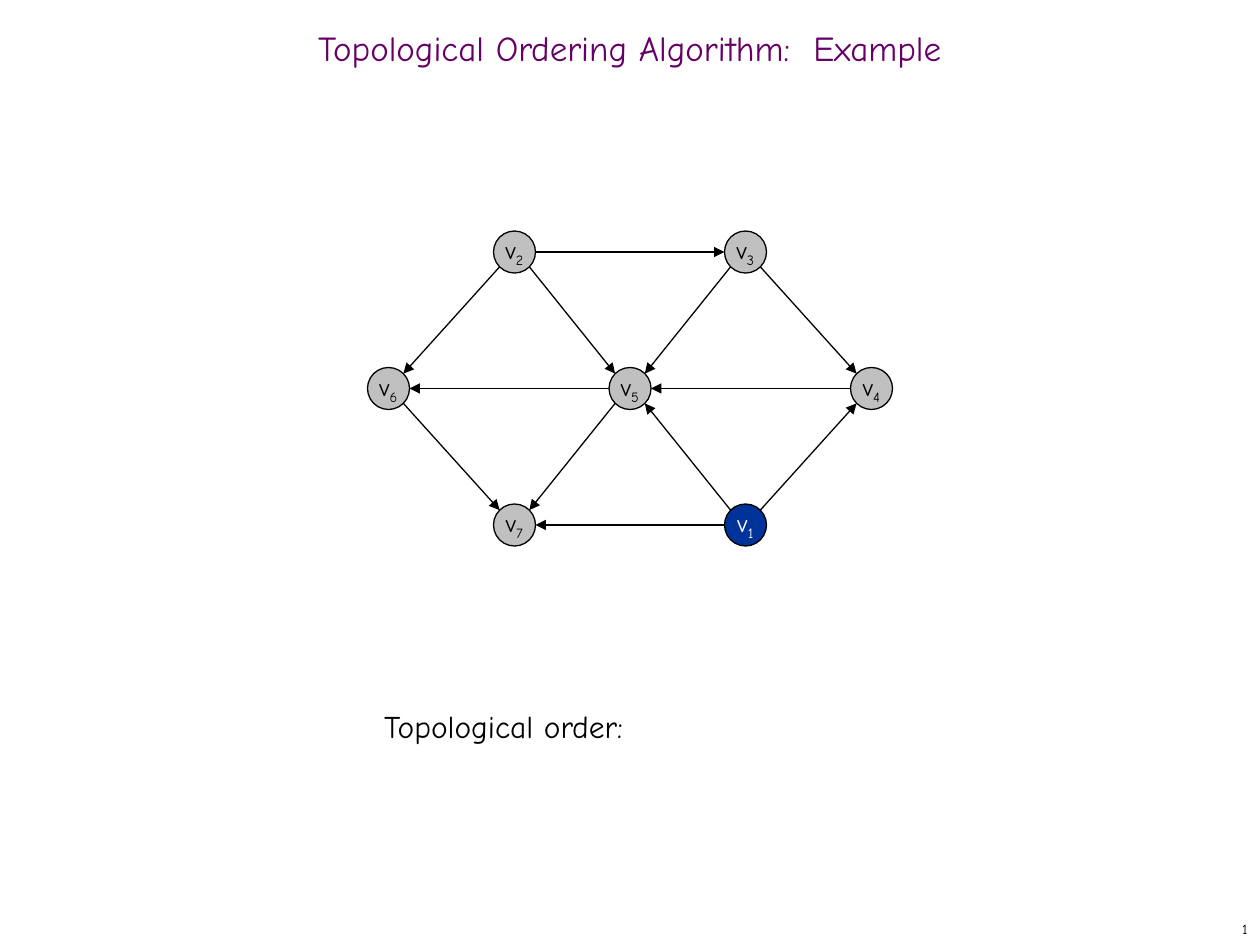
import math

import pptx
import pptx.dml.color
import pptx.enum.shapes
import pptx.enum.text
import pptx.oxml
import pptx.oxml.ns
import pptx.util

Pt = pptx.util.Pt
ALIGN = pptx.enum.text.PP_ALIGN
ANCHOR = pptx.enum.text.MSO_ANCHOR

TITLE = "Topological Ordering Algorithm:  Example"
ORDER_LABEL = "Topological order:"
PAGE_NUMBER = "1"
NODES = {
    "2": (294, 144), "3": (426, 144),
    "6": (222, 222), "5": (360, 222), "4": (498, 222),
    "7": (294, 300), "1": (426, 300),
}
EDGES = ["26", "25", "23", "34", "45", "14", "57", "15", "17", "67", "56", "35"]
ACTIVE_NODE = "1"

COLORS = {"black": "000000", "white": "FFFFFF", "purple": "660066",
          "gray": "C0C0C0", "blue": "003399"}
FONT = "Comic Neue"
RADIUS = 12
LINE_WIDTH = 0.75


def color(name):
    return pptx.dml.color.RGBColor.from_string(COLORS[name])


def write(box, text, size=14, ink="black", align=ALIGN.LEFT, anchor=ANCHOR.TOP,
          wrap=True, spacing=None, subscript=""):
    frame = box.text_frame
    frame.word_wrap = wrap
    frame.vertical_anchor = anchor
    frame.margin_left = frame.margin_right = Pt(7.2)
    frame.margin_top = frame.margin_bottom = Pt(3.6)
    para = frame.paragraphs[0]
    para.alignment = align
    if spacing:
        para.line_spacing = spacing
    for part in filter(None, (text, subscript)):
        span = para.add_run()
        span.text = part
        span.font.name = FONT
        span.font.size = Pt(size)
        span.font.bold = False
        span.font.color.rgb = color(ink)
    if subscript:
        span._r.get_or_add_rPr().set("baseline", "-25000")


def add_node(page, name):
    x, y = NODES[name]
    active = name == ACTIVE_NODE
    node = page.shapes.add_shape(
        pptx.enum.shapes.MSO_SHAPE.OVAL,
        Pt(x - RADIUS), Pt(y - RADIUS), Pt(2 * RADIUS), Pt(2 * RADIUS))
    node.shadow.inherit = False
    node.fill.solid()
    node.fill.fore_color.rgb = color("blue" if active else "gray")
    node.line.color.rgb = color("black")
    node.line.width = Pt(LINE_WIDTH)
    write(node, "v", subscript=name, ink="white" if active else "black",
          align=ALIGN.CENTER, anchor=ANCHOR.MIDDLE, wrap=False)


def add_edge(page, source, target):
    (x1, y1), (x2, y2) = NODES[source], NODES[target]
    dx = math.copysign(RADIUS, x2 - x1)
    dy = 0
    if y1 != y2:
        dx *= math.sqrt(0.5)
        dy = math.copysign(RADIUS * math.sqrt(0.5), y2 - y1)
    edge = page.shapes.add_connector(
        pptx.enum.shapes.MSO_CONNECTOR.STRAIGHT,
        Pt(x1 + dx), Pt(y1 + dy), Pt(x2 - dx), Pt(y2 - dy))
    edge.line.color.rgb = color("black")
    edge.line.width = Pt(LINE_WIDTH)
    arrow = pptx.oxml.parse_xml(
        f'<a:tailEnd {pptx.oxml.ns.nsdecls("a")} type="triangle"/>')
    edge.line._get_or_add_ln().append(arrow)
    edge._element.spPr.append(
        pptx.oxml.parse_xml(f'<a:effectLst {pptx.oxml.ns.nsdecls("a")}/>'))


def main():
    deck = pptx.Presentation()
    deck.slide_width, deck.slide_height = Pt(720), Pt(540)
    page = deck.slides.add_slide(deck.slide_layouts[5])

    title = page.shapes.title
    title.left, title.top, title.width, title.height = Pt(0), Pt(12), Pt(720), Pt(36)
    write(title, TITLE, size=20, ink="purple", align=ALIGN.CENTER,
          anchor=ANCHOR.MIDDLE, spacing=0.7)

    label = page.shapes.add_textbox(Pt(212.4), Pt(400.4), Pt(165), Pt(29))
    write(label, ORDER_LABEL, size=18, wrap=False)

    for name in NODES:
        add_node(page, name)
    for source, target in EDGES:
        add_edge(page, source, target)

    number = page.shapes.add_textbox(Pt(570), Pt(522), Pt(150), Pt(18))
    write(number, PAGE_NUMBER, size=8, align=ALIGN.RIGHT, anchor=ANCHOR.MIDDLE)

    deck.save("out.pptx")


if __name__ == "__main__":
    main()
